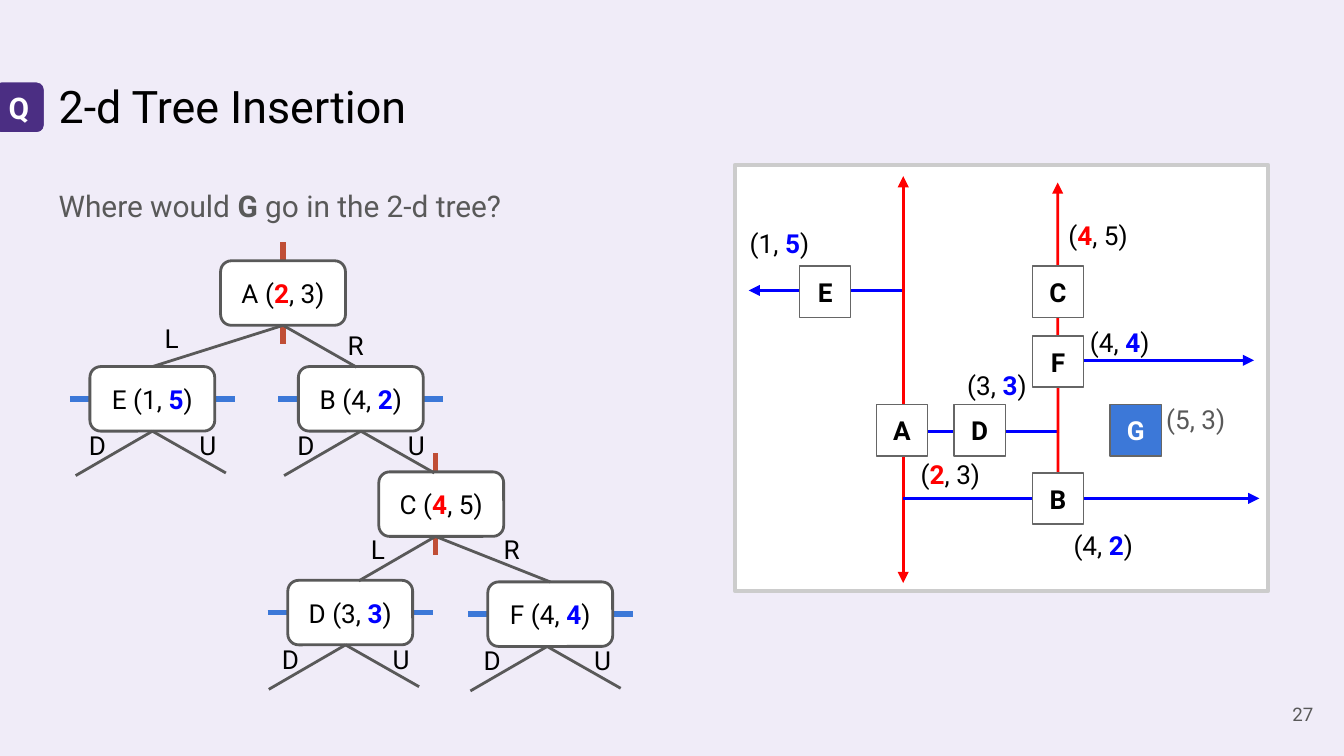
from dataclasses import dataclass

from lxml import etree
from pptx import Presentation
from pptx.dml.color import RGBColor
from pptx.enum.shapes import MSO_CONNECTOR, MSO_SHAPE
from pptx.enum.text import MSO_ANCHOR, PP_ALIGN
from pptx.oxml.ns import qn
from pptx.util import Cm, Pt

STRAIGHT = MSO_CONNECTOR.STRAIGHT
RECT, ROUND = MSO_SHAPE.RECTANGLE, MSO_SHAPE.ROUNDED_RECTANGLE
LEFT, CENTER, RIGHT = PP_ALIGN.LEFT, PP_ALIGN.CENTER, PP_ALIGN.RIGHT
TOP, MIDDLE = MSO_ANCHOR.TOP, MSO_ANCHOR.MIDDLE
BLACK, WHITE, GREY, RED, BLUE = "000000", "FFFFFF", "595959", "FF0000", "0000FF"
LAVENDER, PURPLE, SKY, BRICK = "F0ECF8", "4B2E83", "3C78D8", "C04E36"
NODE_W, NODE_H, SQUARE = 2.36, 1.22, 0.97
BAR_W, BAR_H = 3.12, 1.93


@dataclass
class Branch:
    """An edge below a tree node, placed relative to the fork."""
    letter: str
    label: tuple[float, float]
    tip: tuple[float, float]
    child: str = ""


@dataclass
class Node:
    """A tree node; fork is the sideways shift of its branching point."""
    text: str
    x: float
    y: float
    vertical: bool
    branches: tuple[Branch, ...]
    fork: float = 0

    @property
    def accent(self) -> str:
        """Return the colour of the compared coordinate."""
        return RED if self.vertical else BLUE

    @property
    def fork_x(self) -> float:
        """Return the horizontal place of the fork."""
        return self.x + NODE_W / 2 + self.fork


@dataclass
class Point:
    """A point on the map: its square and its coordinate label."""
    name: str
    square: tuple[float, float]
    label: tuple[float, float]
    text: str
    accent: str = BLUE
    fill: str = WHITE
    name_color: str = BLACK
    text_color: str = BLACK


@dataclass
class Ray:
    """A dividing line on the map."""
    start: tuple[float, float]
    end: tuple[float, float]
    color: str = BLUE
    head: bool = True
    tail: bool = False
    foot: str = ""


DOWN_UP = (Branch("D", (-1.45, -0.28), (-1.45, 0.84)),
           Branch("U", (0.64, -0.28), (1.39, 0.79)))
NODES = [
    Node("A (*2*, 3)", 4.17, 4.93, True,
         (Branch("L", (-2.49, -0.3), (-2.46, 0.81), "E"),
          Branch("R", (0.97, -0.18), (1.39, 0.79)))),
    Node("E (1, *5*)", 1.7, 6.93, False, DOWN_UP),
    Node("B (4, *2*)", 5.64, 6.93, False, DOWN_UP),
    Node("C (*4*, 5)", 7.16, 8.92, True,
         (Branch("L", (-1.47, -0.3), (-1.45, 0.84)),
          Branch("R", (1.04, -0.3), (2.18, 0.86), "F")), -0.11),
    Node("D (3, *3*)", 5.44, 10.97, False, DOWN_UP, -0.09),
    Node("F (4, *4*)", 9.22, 11, False, DOWN_UP, -0.06),
]
POINTS = [
    Point("A", (16.56, 7.65), (17.15, 8.41), "(*2*, 3)", RED),
    Point("B", (19.51, 8.94), (20.04, 9.75), "(4, *2*)"),
    Point("C", (19.51, 5.03), (19.94, 3.89), "(*4*, 5)", RED),
    Point("D", (18.03, 7.65), (18.03, 6.73), "(3, *3*)"),
    Point("E", (15.11, 5.03), (13.92, 4.04), "(1, *5*)"),
    Point("F", (19.51, 6.35), (20.35, 5.92), "(4, *4*)"),
    Point("G", (20.98, 7.65), (21.79, 7.37), "(5, 3)", BLUE, SKY, WHITE, GREY),
]
RAYS = [
    Ray((23.7, 6.81), (20.02, 6.81)),
    Ray((14.15, 5.49), (17.07, 5.49)),
    Ray((20.02, 8.15), (16.97, 8.15), head=False),
    Ray((17.07, 3.33), (17.07, 11.02), RED, tail=True),
    Ray((23.8, 9.42), (17.07, 9.42)),
    Ray((19.99, 3.45), (19.99, 8.94), RED, foot="B"),
]


def paint(color_format, color: str) -> None:
    """Set a colour from a hex string."""
    color_format.rgb = RGBColor.from_string(color)


def write(sp, text: str, *, size=14, color=BLACK, accent="", bold=False,
          align=LEFT, anchor=TOP, spacing=None, after=None) -> None:
    """Write one paragraph; parts between asterisks are bold in the accent colour."""
    tf = sp.text_frame
    tf.word_wrap = True
    tf.vertical_anchor = anchor
    tf.margin_left = tf.margin_right = tf.margin_top = tf.margin_bottom = Cm(0.25)
    p = tf.paragraphs[0]
    p.alignment = align
    p.line_spacing = spacing
    p.space_after = after
    for i, part in enumerate(text.split("*")):
        r = p.add_run()
        r.text = part
        r.font.name = "Roboto"
        r.font.size = Pt(size)
        r.font.bold = bold or i % 2 == 1
        paint(r.font.color, accent if accent and i % 2 else color)


def add_text(s, x: float, y: float, w: float, h: float, text: str, **style) -> None:
    """Add a text box."""
    write(s.shapes.add_textbox(Cm(x), Cm(y), Cm(w), Cm(h)), text, **style)


def add_box(s, kind, x: float, y: float, w: float, h: float,
            fill: str, line: str, width: float):
    """Add a filled, outlined preset shape."""
    sp = s.shapes.add_shape(kind, Cm(x), Cm(y), Cm(w), Cm(h))
    sp.shadow.inherit = False
    sp.fill.solid()
    paint(sp.fill.fore_color, fill)
    paint(sp.line.color, line)
    sp.line.width = Pt(width)
    return sp


def add_line(s, x1: float, y1: float, x2: float, y2: float, color: str,
             width=1.5, head=False, tail=False):
    """Add a straight connector with optional arrowheads."""
    cn = s.shapes.add_connector(STRAIGHT, Cm(x1), Cm(y1), Cm(x2), Cm(y2))
    paint(cn.line.color, color)
    cn.line.width = Pt(width)
    ln = cn.line._get_or_add_ln()
    for tag, shown in (("a:headEnd", head), ("a:tailEnd", tail)):
        if shown:
            etree.SubElement(ln, qn(tag), type="triangle")
    etree.SubElement(ln.getparent(), qn("a:effectLst"))
    return cn


def draw_map(s) -> None:
    """Draw the divided plane with its points."""
    add_box(s, RECT, 13.89, 3.12, 10.08, 8.05, WHITE, "CCCCCC", 2.25)
    rays = [add_line(s, *ray.start, *ray.end, ray.color, head=ray.head, tail=ray.tail)
            for ray in RAYS]
    squares = {}
    for point in POINTS:
        sp = add_box(s, RECT, *point.square, SQUARE, SQUARE, point.fill, "666666", 0.75)
        write(sp, point.name, color=point.name_color, bold=True,
              align=CENTER, anchor=MIDDLE)
        squares[point.name] = sp
        add_text(s, *point.label, 2.01, 0.79, point.text,
                 color=point.text_color, accent=point.accent)
    for ray, cn in zip(RAYS, rays):
        if ray.foot:
            cn.end_connect(squares[ray.foot], 0)


def draw_tree(s) -> None:
    """Draw the nodes with their split bars, then the branches."""
    boxes = {}
    for node in NODES:
        cx, cy = node.x + NODE_W / 2, node.y + NODE_H / 2
        if node.vertical:
            add_line(s, node.fork_x, cy - BAR_H / 2, node.fork_x, cy + BAR_H / 2, BRICK, 3)
        else:
            add_line(s, cx - BAR_W / 2, cy, cx + BAR_W / 2, cy, SKY, 3)
        sp = add_box(s, ROUND, node.x, node.y, NODE_W, NODE_H, WHITE, GREY, 1.5)
        write(sp, node.text, accent=node.accent, align=CENTER, anchor=MIDDLE)
        boxes[node.text[0]] = sp
    for node in NODES:
        x, y = node.fork_x, node.y + NODE_H
        for branch in node.branches:
            cn = add_line(s, x, y, x + branch.tip[0], y + branch.tip[1], GREY)
            if not node.fork:
                cn.begin_connect(boxes[node.text[0]], 2)
            if branch.child:
                cn.end_connect(boxes[branch.child], 0)
            add_text(s, x + branch.label[0], y + branch.label[1], 1.45, 0.84, branch.letter)


def main() -> None:
    """Build the slide and save it."""
    prs = Presentation()
    prs.slide_width, prs.slide_height = Cm(25.4), Cm(14.29)
    s = prs.slides.add_slide(prs.slide_layouts[6])
    s.background.fill.solid()
    paint(s.background.fill.fore_color, LAVENDER)
    add_text(s, 0.86, 1.24, 10.97, 1.6, "2-d Tree Insertion", size=24)
    add_text(s, 0.86, 3.2, 10.97, 1.14, "Where would *G* go in the 2-d tree?",
             size=16, color=GREY, spacing=1.15, after=Pt(8))
    add_text(s, 23.55, 12.95, 1.52, 1.09, "27", size=10, color=GREY,
             align=RIGHT, anchor=MIDDLE)
    badge = add_box(s, ROUND, -0.15, 1.52, 1.02, 1.02, PURPLE, LAVENDER, 2.25)
    write(badge, "Q", size=16, color=WHITE, bold=True, align=CENTER, anchor=MIDDLE)
    draw_map(s)
    draw_tree(s)
    prs.save("out.pptx")


if __name__ == "__main__":
    main()
